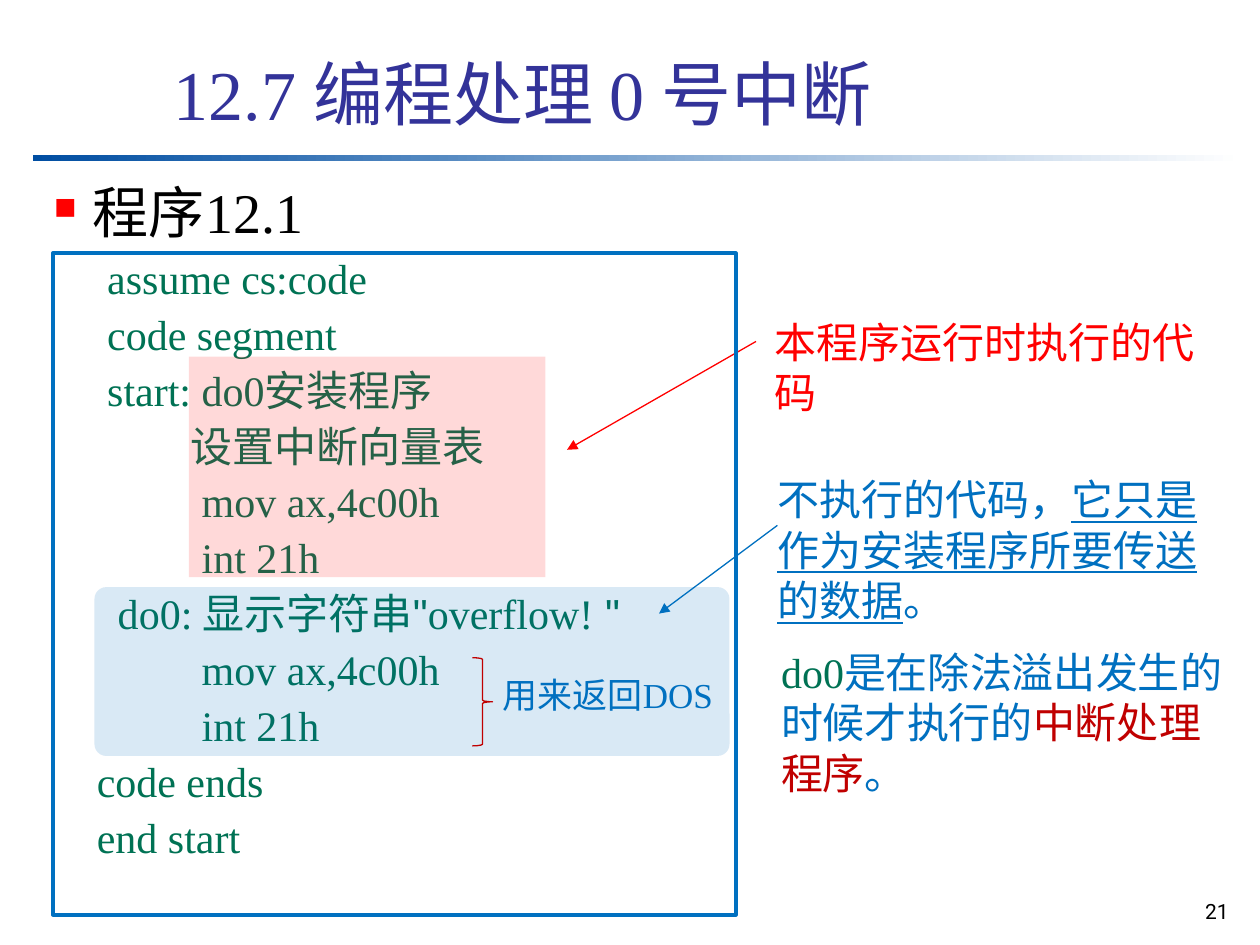
from pptx import Presentation
from pptx.dml.color import RGBColor
from pptx.enum.shapes import MSO_CONNECTOR, MSO_SHAPE
from pptx.enum.text import MSO_ANCHOR, MSO_AUTO_SIZE, PP_ALIGN
from pptx.oxml.ns import qn
from pptx.util import Inches, Pt
from lxml.etree import SubElement

HUES = {"title": "333399", "blue": "0070C0", "navy": "004EA2", "green": "007254",
        "red": "FF0000", "dark": "C00000", "black": "000000", "white": "FFFFFF"}
SERIF, SANS, PLAIN = "Times New Roman", "Roboto", "Arial"
CELL = 0.1


def grid(*vals):
    return [Inches(val * CELL) for val in vals]


def hue(name):
    return RGBColor.from_string(HUES[name])


class Deck:
    """Hold the style and the current slide, drawn on a grid of 100 by 75 cells."""

    def __init__(self):
        self.prs = Presentation()
        self.prs.slide_width, self.prs.slide_height = grid(100, 75)
        self.slide = self.prs.slides.add_slide(self.prs.slide_layouts[5])
        self.shapes = self.slide.shapes

    def fill_para(self, para, runs, size):
        for text, tone, *rest in runs:
            run = para.add_run()
            run.text = text
            font = run.font
            font.size = Pt(size)
            font.name = rest[0] if rest else SERIF
            font.color.rgb = hue(tone)
            if len(rest) > 1:
                font.underline = rest[1]

    def title(self, box, text):
        item = self.shapes.title
        item.left, item.top, item.width, item.height = grid(*box)
        frame = item.text_frame
        frame.auto_size = MSO_AUTO_SIZE.NONE
        frame.vertical_anchor = MSO_ANCHOR.BOTTOM
        para = frame.paragraphs[0]
        para.alignment = PP_ALIGN.LEFT
        self.fill_para(para, [(text, "title")], 40)

    def text(self, box, lines, size=24, wrap=True, gap=0, lead=None, align=PP_ALIGN.LEFT):
        frame = self.shapes.add_textbox(*grid(*box)).text_frame
        frame.word_wrap = wrap
        for num, runs in enumerate(lines):
            para = frame.add_paragraph() if num else frame.paragraphs[0]
            para.alignment = align
            if num:
                para.space_before = Pt(gap)
            if lead:
                para.line_spacing = lead
            self.fill_para(para, runs, size)
        return frame

    def bullet(self, box, text):
        para = self.text(box, [[(text, "black")]], 32, lead=0.9).paragraphs[0]
        props = para._p.get_or_add_pPr()
        props.set("marL", str(Inches(0.31)))
        props.set("indent", str(-Inches(0.31)))
        tint = SubElement(props, qn("a:buClr"))
        SubElement(tint, qn("a:srgbClr"), val=HUES["red"])
        SubElement(props, qn("a:buSzPct"), val="55000")
        SubElement(props, qn("a:buChar"), char="■")

    def shape(self, kind, box, fill=None, line=None, width=0.75, alpha=None):
        item = self.shapes.add_shape(kind, *grid(*box))
        item.shadow.inherit = False
        if fill:
            item.fill.solid()
            item.fill.fore_color.rgb = hue(fill)
        else:
            item.fill.background()
        if alpha:
            tint = item._element.spPr.find(".//" + qn("a:srgbClr"))
            SubElement(tint, qn("a:alpha"), val=str(alpha * 1000))
        if line:
            item.line.color.rgb = hue(line)
            item.line.width = Pt(width)
        else:
            item.line.fill.background()
        return item

    def rule(self, box, *tones):
        fill = self.shape(MSO_SHAPE.RECTANGLE, box).fill
        fill.gradient()
        fill.gradient_angle = 0
        for stop, tone, place in zip(fill.gradient_stops, tones, (0, 1)):
            stop.color.rgb = hue(tone)
            stop.position = place

    def arrow(self, ends, tone):
        item = self.shapes.add_connector(MSO_CONNECTOR.STRAIGHT, *grid(*ends))
        item.line.color.rgb = hue(tone)
        item.line.width = Pt(0.75)
        props = item._element.spPr
        SubElement(props.find(qn("a:ln")), qn("a:tailEnd"), type="triangle")
        SubElement(props, qn("a:effectLst"))


def main():
    deck = Deck()
    deck.rule((2.6, 12.3, 96, 0.5), "navy", "white")
    deck.text((91.8, 70.8, 6.7, 3.3), [[("21", "black", SANS)]], 12, align=PP_ALIGN.RIGHT)
    deck.title((12.8, 1.8, 85.2, 9.4), "12.7 编程处理 0 号中断")
    deck.bullet((3.3, 14.2, 94.6, 56.7), "程序12.1")

    code = [[(line, "green")] for line in (
        " assume cs:code",
        " code segment",
        " start: do0安装程序",
        "          设置中断向量表",
        "          mov ax,4c00h",
        "          int 21h",
        "  do0: 显示字符串",
        "          mov ax,4c00h",
        "          int 21h",
        "code ends",
        "end start")]
    code[6] += [('"', "green", PLAIN), ("overflow!", "green"), (' "', "green", PLAIN)]
    deck.text((6.7, 20, 51.7, 52.5), code, gap=6, lead=0.9)

    panel = deck.shape(MSO_SHAPE.ROUNDED_RECTANGLE, (7.5, 46.6, 50.4, 13.4), "blue", alpha=15)
    panel.adjustments[0] = 0.07
    deck.text((60.7, 37.1, 38.1, 13), [[
        ("不执行的代码，", "blue"),
        ("它只是作为安装程序所要传送的数据", "blue", SERIF, True),
        ("。", "blue")]])
    deck.text((38.9, 53, 19.3, 4.4), [[("用来返回DOS", "blue")]], 20, wrap=False)
    deck.shape(MSO_SHAPE.RIGHT_BRACE, (37.5, 52.2, 1.6, 7), line="dark")
    deck.shape(MSO_SHAPE.RECTANGLE, (15, 28.3, 28.3, 17.5), "red", alpha=15)
    deck.text((61, 50.8, 38.2, 13), [[
        ("do0", "green"),
        ("是在除法溢出发生的时候才执行的", "blue"),
        ("中断处理程序", "dark"),
        ("。", "blue", SANS)]])
    deck.arrow((60, 27.1, 45, 35.7), "red")
    deck.shape(MSO_SHAPE.RECTANGLE, (4.2, 20.1, 54.2, 52.5), line="blue", width=2.25)
    deck.text((60.5, 24.6, 38.6, 5), [[("本程序运行时执行的代码", "red")]], wrap=False)
    deck.arrow((61.7, 41.7, 52.3, 48.7), "blue")
    deck.prs.save("out.pptx")


if __name__ == "__main__":
    main()
